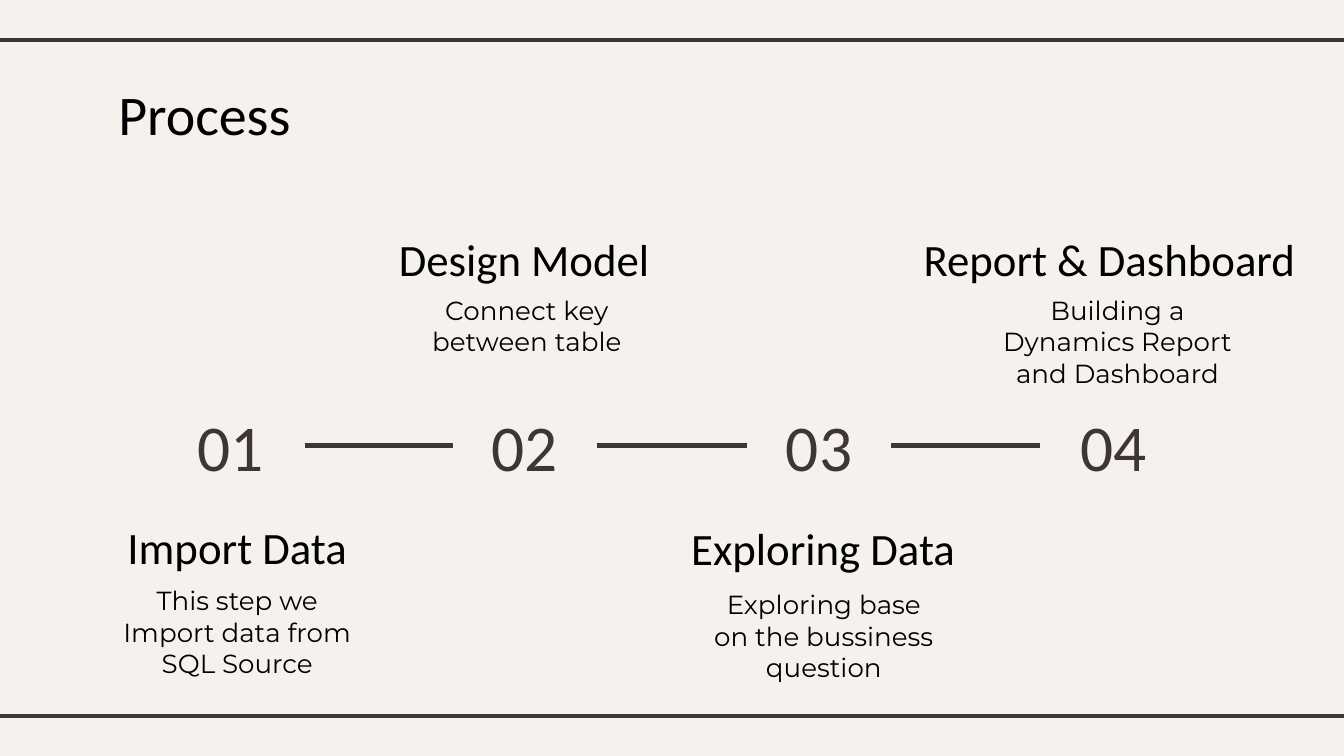
import pptx
import pptx.util
import pptx.dml.color
import pptx.enum.shapes
import pptx.enum.text
import pptx.oxml.ns
import lxml.etree

Inches = pptx.util.Inches
Align = pptx.enum.text.PP_ALIGN
Anchor = pptx.enum.text.MSO_ANCHOR
INK = "3F3533"
BLACK = "000000"
PAPER = "F5F2EE"
WIDE = 10
HIGH = WIDE * 9 / 16

MARKS = [
    ("01", 1.16, 1.11),
    ("02", 3.37, 1.07),
    ("03", 5.56, 1.07),
    ("04", 7.74, 1.09),
]
STEPS = [
    ("Import Data", (0.77, 3.87, 1.99, 0.39),
     "This step we Import data from SQL Source", (0, 0.38, 1.99, 0.63)),
    ("Design Model", (2.72, 1.73, 2.36, 0.39),
     "Connect key between table", (0.26, 0.36, 1.88, 0.63)),
    ("Exploring Data", (4.91, 3.88, 2.43, 0.39),
     "Exploring base on the bussiness question", (0.28, 0.4, 1.88, 0.87)),
    ("Report & Dashboard", (6.61, 1.64, 3.29, 0.57),
     "Building a Dynamics Report and Dashboard", (0.73, 0.45, 1.95, 0.63)),
]


def color(code):
    return pptx.dml.color.RGBColor.from_string(code)


def write(shape, text, size, font, code, align, anchor):
    frame = shape.text_frame
    frame.word_wrap = True
    frame.auto_size = pptx.enum.text.MSO_AUTO_SIZE.NONE
    frame.vertical_anchor = anchor
    frame.margin_left = frame.margin_right = Inches(0.1)
    frame.margin_top = frame.margin_bottom = Inches(0.1)
    line = frame.paragraphs[0]
    line.alignment = align
    run = line.add_run()
    run.text = text
    run.font.size = pptx.util.Pt(size)
    run.font.name = font
    run.font.color.rgb = color(code)


def label(slide, box, text, size, font, code, anchor=Anchor.MIDDLE):
    shape = slide.shapes.add_textbox(*map(Inches, box))
    write(shape, text, size, font, code, Align.CENTER, anchor)
    return shape


def rule(slide, left, right, top):
    line = slide.shapes.add_connector(
        pptx.enum.shapes.MSO_CONNECTOR.STRAIGHT,
        Inches(left), Inches(top), Inches(right), Inches(top))
    line.line.color.rgb = color(INK)
    line.line.width = pptx.util.Pt(2.25)
    props = line._element.spPr
    lxml.etree.SubElement(props, pptx.oxml.ns.qn("a:effectLst"))
    return line


def frame(slide, box):
    left, top, width, height = box
    for level in (top, top + height):
        rule(slide, left, left + width, level)


def head(slide, box, text):
    title = slide.shapes.title
    title.left, title.top, title.width, title.height = map(Inches, box)
    write(title, text, 30, "Calibri", BLACK, Align.LEFT, Anchor.TOP)


def track(slide, top, height):
    last = None
    for text, left, width in MARKS:
        mark = label(slide, (left, top, width, height), text, 35, "Calibri", INK)
        if last is not None:
            link = rule(slide, left - 1, left, top + height / 2)
            link.begin_connect(last, 3)
            link.end_connect(mark, 1)
        last = mark


def step(slide, name, box, note, shift):
    label(slide, box, name, 24, "Calibri", BLACK)
    left, top, width, height = shift
    place = (box[0] + left, box[1] + top, width, height)
    label(slide, place, note, 14, "Montserrat", BLACK, Anchor.TOP)


def main():
    deck = pptx.Presentation()
    deck.slide_width, deck.slide_height = Inches(WIDE), Inches(HIGH)
    slide = deck.slides.add_slide(deck.slide_layouts[5])
    fill = slide.background.fill
    fill.solid()
    fill.fore_color.rgb = color(PAPER)
    frame(slide, (-0.08, 0.3, 10.16, 5.03))
    head(slide, (0.78, 0.49, 1.77, 0.63), "Process")
    track(slide, 2.95, 0.73)
    for item in STEPS:
        step(slide, *item)
    deck.save("out.pptx")


if __name__ == "__main__":
    main()
